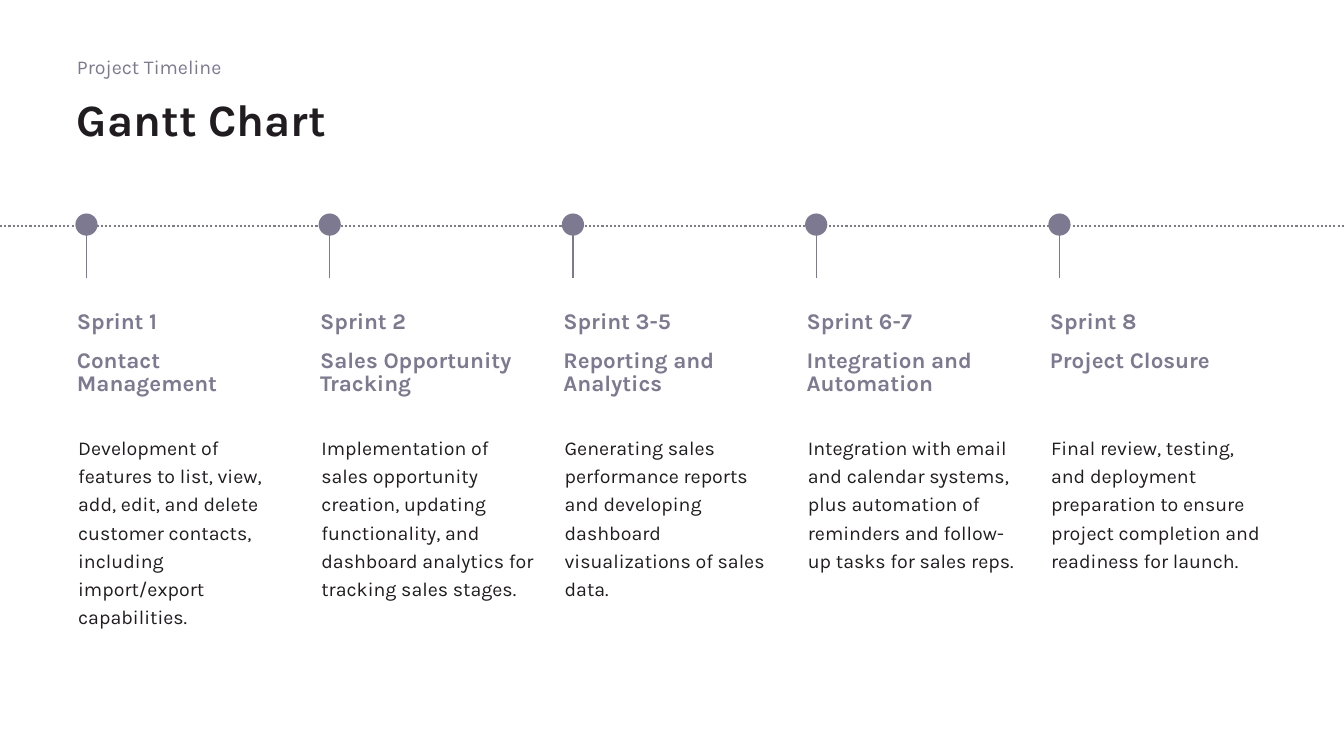
from lxml import etree
from pptx import Presentation
from pptx import util as u
from pptx.dml.color import RGBColor
from pptx.enum import dml, shapes, text
from pptx.oxml.ns import qn

COLORS = {"accent": "7D7991", "ink": "201C20"}

SPRINTS = [
    ("Sprint 1", "Contact Management",
     "Development of features to list, view, add, edit, and delete customer "
     "contacts, including import/export capabilities."),
    ("Sprint 2", "Sales Opportunity Tracking",
     "Implementation of sales opportunity creation, updating functionality, "
     "and dashboard analytics for tracking sales stages."),
    ("Sprint 3-5", "Reporting and Analytics",
     "Generating sales performance reports and developing dashboard "
     "visualizations of sales data."),
    ("Sprint 6-7", "Integration and Automation",
     "Integration with email and calendar systems, plus automation of "
     "reminders and follow-up tasks for sales reps."),
    ("Sprint 8", "Project Closure",
     "Final review, testing, and deployment preparation to ensure project "
     "completion and readiness for launch."),
]

# Layout in centimetres
WIDTH, HEIGHT = 33.87, 19.05
LEFT, PITCH, COLUMN = 1.69, 6.13, 5.97
AXIS_Y, STEM_END = 5.69, 7.01
DOT, DOT_TOP, STEM_OFFSET = 0.56, 5.38, 0.49


class TimelineSlide:
    font = "Karla"

    def __init__(self, prs):
        self.slide = prs.slides.add_slide(prs.slide_layouts[6])

    def color(self, name):
        return RGBColor.from_string(COLORS[name])

    def label(self, x, y, w, h, words, size, color="accent", bold=False,
              spacing=1.0, before=0, anchor=text.MSO_ANCHOR.TOP, inset=0.25):
        box = self.slide.shapes.add_textbox(u.Cm(x), u.Cm(y), u.Cm(w), u.Cm(h))
        tf = box.text_frame
        tf.word_wrap = True
        tf.vertical_anchor = anchor
        tf.margin_left = u.Cm(inset)
        p = tf.paragraphs[0]
        p.line_spacing = spacing
        p.space_before = u.Pt(before)
        r = p.add_run()
        r.text = words
        r.font.name = self.font
        r.font.size = u.Pt(size)
        r.font.bold = bold
        r.font.color.rgb = self.color(color)

    def line(self, x1, y1, x2, y2, width, dash=None):
        line = self.slide.shapes.add_connector(
            shapes.MSO_CONNECTOR.STRAIGHT, u.Cm(x1), u.Cm(y1), u.Cm(x2), u.Cm(y2))
        line.line.color.rgb = self.color("accent")
        line.line.width = u.Pt(width)
        if dash:
            line.line.dash_style = dash
        etree.SubElement(line._element.spPr, qn("a:effectLst"))

    def dot(self, x, y, size):
        sp = self.slide.shapes.add_shape(
            shapes.MSO_SHAPE.OVAL, u.Cm(x), u.Cm(y), u.Cm(size), u.Cm(size))
        sp.shadow.inherit = False
        sp.fill.solid()
        sp.fill.fore_color.rgb = self.color("accent")
        sp.line.fill.background()

    def sprint(self, x, name, heading, details):
        stem_x = x + STEM_OFFSET
        self.dot(stem_x - DOT / 2, DOT_TOP, DOT)
        self.line(stem_x, AXIS_Y, stem_x, STEM_END, 1)
        self.label(x, 7.19, COLUMN, 1.35, name, 16, bold=True, before=12,
                   anchor=text.MSO_ANCHOR.BOTTOM)
        self.label(x, 8.71, COLUMN, 1.65, heading, 16, bold=True,
                   spacing=0.85, before=12)
        self.label(x, 10.74, COLUMN, 6.1, details, 14, "ink",
                   spacing=1.2, before=12, inset=0.28)


def main():
    prs = Presentation()
    prs.slide_width, prs.slide_height = u.Cm(WIDTH), u.Cm(HEIGHT)
    s = TimelineSlide(prs)

    # Heading
    s.label(LEFT, 1.27, 15.24, 1.14, "Project Timeline", 14)
    s.label(LEFT, 1.96, 30.48, 2.21, "Gantt Chart", 32, "ink", bold=True,
            spacing=0.9, anchor=text.MSO_ANCHOR.MIDDLE)

    # Timeline axis
    s.line(0, AXIS_Y, WIDTH, AXIS_Y, 1.5, dml.MSO_LINE.ROUND_DOT)

    # Sprint columns
    for i, (name, heading, details) in enumerate(SPRINTS):
        s.sprint(LEFT + i * PITCH, name, heading, details)

    prs.save("out.pptx")


if __name__ == "__main__":
    main()
